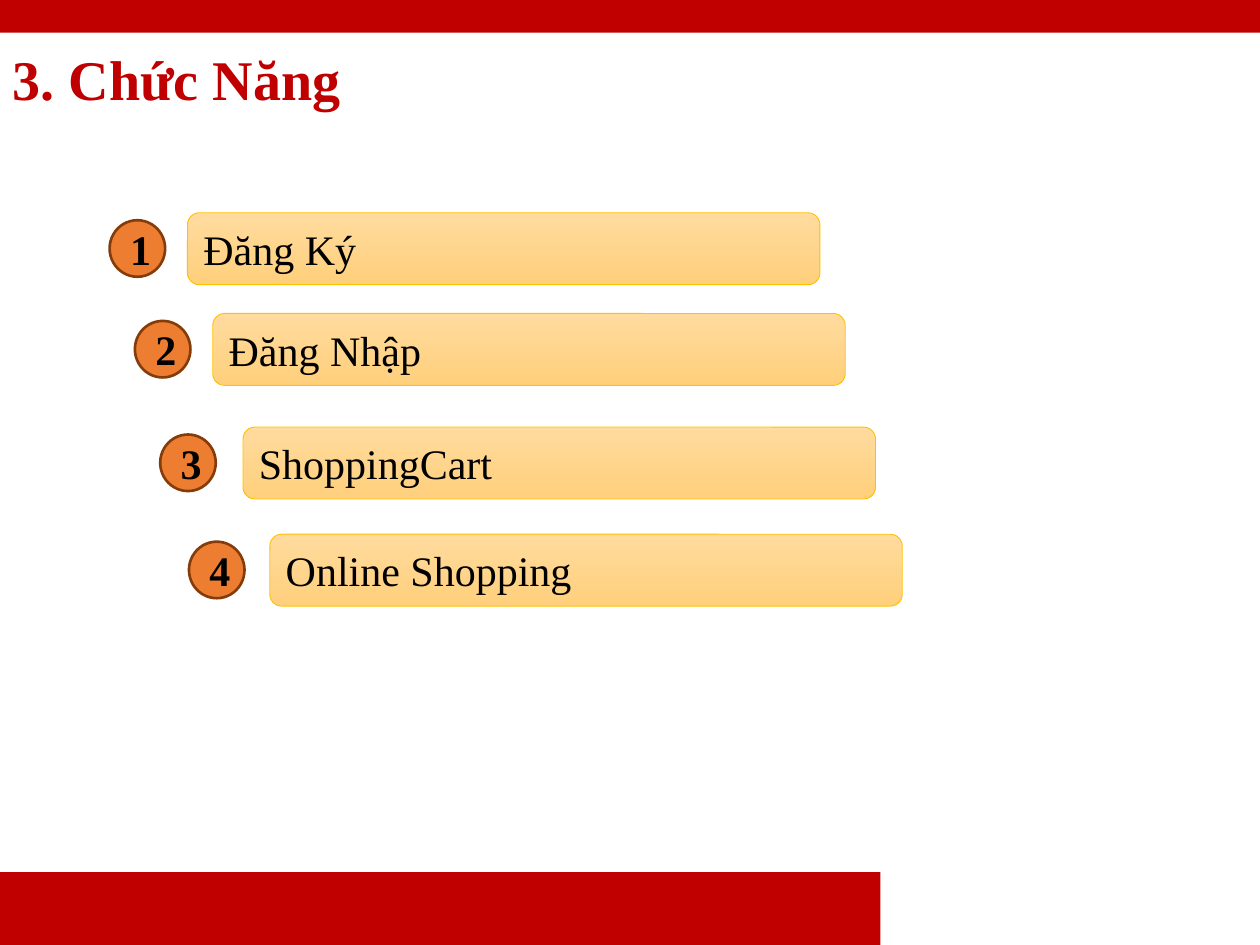
from dataclasses import dataclass

from pptx import Presentation
from pptx.dml.color import RGBColor
from pptx.enum import shapes, text
from pptx.util import Cm, Pt

FONT = "Times New Roman"
RED = "C00000"
BLACK = "000000"


@dataclass(frozen=True)
class Frame:
    left: float
    top: float
    width: float
    height: float

    def lengths(self) -> tuple:
        return Cm(self.left), Cm(self.top), Cm(self.width), Cm(self.height)


@dataclass(frozen=True)
class Feature:
    label: str
    badge_left: float
    box_left: float
    top: float


FEATURES = (
    Feature("Đăng Ký", 2.21, 3.78, 4.29),
    Feature("Đăng Nhập", 2.72, 4.29, 6.32),
    Feature("ShoppingCart", 3.23, 4.9, 8.61),
    Feature("Online Shopping", 3.81, 5.44, 10.77),
)
BARS = (Frame(0, 17.58, 17.75, 1.47), Frame(0, 0, 25.4, 0.66))


def color(value: str) -> RGBColor:
    return RGBColor.from_string(value)


def write(shape, words: str, size: float, ink: str, bold: bool, align) -> None:
    frame = shape.text_frame
    frame.text = words
    frame.word_wrap = True
    frame.vertical_anchor = text.MSO_ANCHOR.MIDDLE
    para = frame.paragraphs[0]
    para.alignment = align
    para.font.name = FONT
    para.font.size = Pt(size)
    para.font.bold = bold
    para.font.color.rgb = color(ink)


def add_plain(slide, kind, frame: Frame):
    """Add a preset shape without a shadow."""
    shape = slide.shapes.add_shape(kind, *frame.lengths())
    shape.shadow.inherit = False
    return shape


def outline(shape, value: str, width: float) -> None:
    shape.line.color.rgb = color(value)
    shape.line.width = Pt(width)


def add_bar(slide, frame: Frame) -> None:
    bar = add_plain(slide, shapes.MSO_SHAPE.RECTANGLE, frame)
    bar.fill.solid()
    bar.fill.fore_color.rgb = color(RED)
    bar.line.fill.background()


def add_feature(slide, number: int, feature: Feature) -> None:
    box = add_plain(slide, shapes.MSO_SHAPE.ROUNDED_RECTANGLE,
                    Frame(feature.box_left, feature.top, 12.75, 1.45))
    box.fill.gradient()
    box.fill.gradient_angle = 270
    for stop, value in zip(box.fill.gradient_stops, ("FFDB9E", "FFD07C")):
        stop.color.rgb = color(value)
    outline(box, "FFC000", 0.5)
    write(box, feature.label, 24, BLACK, False, text.PP_ALIGN.LEFT)

    badge = add_plain(slide, shapes.MSO_SHAPE.OVAL,
                      Frame(feature.badge_left, feature.top + 0.15, 1.12, 1.14))
    badge.fill.solid()
    badge.fill.fore_color.rgb = color("ED7D31")
    outline(badge, "843C0B", 1.5)
    write(badge, str(number), 24, BLACK, True, text.PP_ALIGN.CENTER)


def main() -> None:
    deck = Presentation()
    deck.slide_width, deck.slide_height = Cm(25.4), Cm(19.05)
    slide = deck.slides.add_slide(deck.slide_layouts.get_by_name("Title Only"))

    for bar in BARS:
        add_bar(slide, bar)

    title = slide.shapes.title
    title.left, title.top, title.width, title.height = Frame(0, 0.81, 23.11, 1.7).lengths()
    write(title, "3. Chức Năng", 32, RED, True, text.PP_ALIGN.LEFT)
    title.text_frame.auto_size = text.MSO_AUTO_SIZE.NONE
    title.text_frame.paragraphs[0].line_spacing = 0.9

    for number, feature in enumerate(FEATURES, start=1):
        add_feature(slide, number, feature)

    deck.save("out.pptx")


if __name__ == "__main__":
    main()
